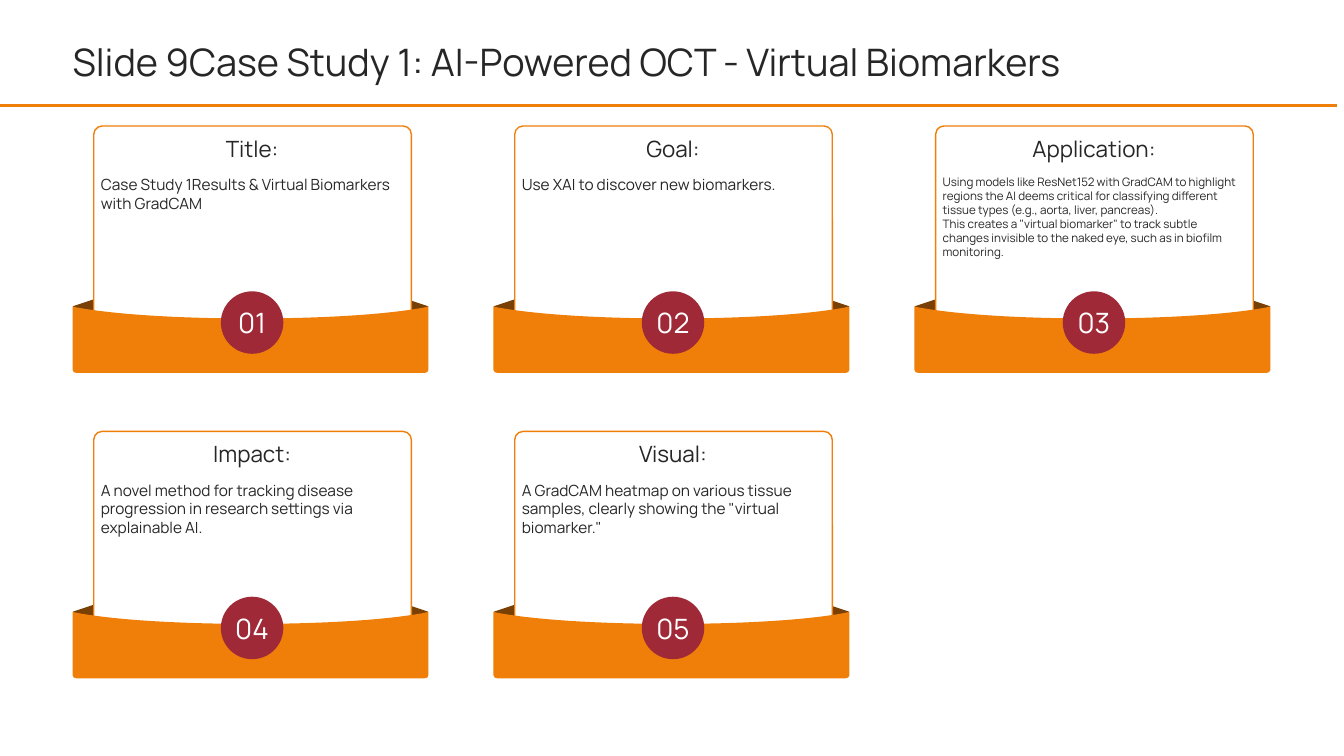
from dataclasses import dataclass

from lxml import etree
from pptx import Presentation
from pptx.dml.color import RGBColor
from pptx.enum.shapes import MSO_CONNECTOR, MSO_SHAPE
from pptx.enum.text import MSO_ANCHOR, MSO_AUTO_SIZE, PP_ALIGN
from pptx.oxml.ns import qn
from pptx.shapes.autoshape import Shape
from pptx.slide import Slide
from pptx.util import Inches, Pt

STRAIGHT = MSO_CONNECTOR.STRAIGHT
ELLIPSE = MSO_SHAPE.OVAL
ROUND_RECT = MSO_SHAPE.ROUNDED_RECTANGLE
TRIANGLE = MSO_SHAPE.RIGHT_TRIANGLE
TOP, MIDDLE = MSO_ANCHOR.TOP, MSO_ANCHOR.MIDDLE
LEFT, CENTER = PP_ALIGN.LEFT, PP_ALIGN.CENTER
NO_AUTOFIT = MSO_AUTO_SIZE.NONE

FONT = "Manrope"
ORANGE, BROWN, RED = "F07F09", "784004", "9F2936"
INK, WHITE = "262626", "FFFFFF"

COLUMNS = 3
CARD_LEFT, CARD_TOP = 0.72, 1.21
COLUMN_PITCH, ROW_PITCH = 8.35 / 2, 3.03

Point = tuple[float, float]
Box = tuple[float, float, float, float]

POCKET_SEGMENTS: list[list[Point]] = [
    [(0.04, 0.01)],
    [(0.42, 0.08), (1.05, 0.12), (1.77, 0.12)],
    [(2.49, 0.12), (3.12, 0.08), (3.49, 0.01)],
    [(3.53, 0)],
    [(3.53, 0.63)],
    [(3.53, 0.65), (3.51, 0.66), (3.49, 0.66)],
    [(0.04, 0.66)],
    [(0.02, 0.66), (0, 0.65), (0, 0.63)],
]


@dataclass(frozen=True)
class Card:
    heading: str
    body: str
    body_size: float = 11


@dataclass(frozen=True)
class TextStyle:
    size: float
    color: str = INK
    align: PP_ALIGN = CENTER
    anchor: MSO_ANCHOR = MIDDLE


CARDS = [
    Card("Title:", "Case Study 1Results & Virtual Biomarkers with GradCAM"),
    Card("Goal:", "Use XAI to discover new biomarkers."),
    Card(
        "Application:",
        "Using models like ResNet152 with GradCAM to highlight regions the AI deems "
        "critical for classifying different tissue types (e.g., aorta, liver, pancreas).\n"
        'This creates a "virtual biomarker" to track subtle changes invisible to the '
        "naked eye, such as in biofilm monitoring.",
        8.3,
    ),
    Card(
        "Impact:",
        "A novel method for tracking disease progression in research settings "
        "via explainable AI.",
    ),
    Card(
        "Visual:",
        "A GradCAM heatmap on various tissue samples, clearly showing the "
        '"virtual biomarker."',
    ),
]


def rgb(color: str) -> RGBColor:
    return RGBColor.from_string(color)


def write(shape: Shape, text: str, style: TextStyle) -> None:
    frame = shape.text_frame
    frame.text = text
    frame_format = {
        "word_wrap": True,
        "auto_size": NO_AUTOFIT,
        "vertical_anchor": style.anchor,
        "margin_left": 0,
        "margin_top": 0,
        "margin_right": 0,
        "margin_bottom": 0,
    }
    for name, value in frame_format.items():
        setattr(frame, name, value)
    font_format = {"name": FONT, "size": Pt(style.size)}
    for para in frame.paragraphs:
        para.alignment = style.align
        para.line_spacing = 1.0
        for span in para.runs:
            for name, value in font_format.items():
                setattr(span.font, name, value)
            span.font.color.rgb = rgb(style.color)


def add_text(page: Slide, box: Box, text: str, style: TextStyle) -> None:
    write(page.shapes.add_textbox(*map(Inches, box)), text, style)


def paint(shape: Shape, fill: str, line: str | None = None) -> None:
    shape.shadow.inherit = False
    shape.fill.solid()
    shape.fill.fore_color.rgb = rgb(fill)
    if line:
        shape.line.color.rgb = rgb(line)
        shape.line.width = Pt(1)
    else:
        shape.line.fill.background()


def add_preset(
    page: Slide, kind: MSO_SHAPE, box: Box, fill: str, line: str | None = None
) -> Shape:
    shape = page.shapes.add_shape(kind, *map(Inches, box))
    paint(shape, fill, line)
    return shape


def add_pocket(page: Slide, left: float, top: float) -> None:
    builder = page.shapes.build_freeform(Inches(left), Inches(top))
    points = [point for segment in POCKET_SEGMENTS for point in segment]
    builder.add_line_segments(
        [(Inches(left + x), Inches(top + y)) for x, y in points], close=True
    )
    pocket = builder.convert_to_shape()
    paint(pocket, ORANGE)
    steps = iter(list(pocket._element.iter(qn("a:lnTo"))))
    for segment in POCKET_SEGMENTS:
        lines = [next(steps) for _ in segment]
        if len(segment) == 3:
            bezier = etree.Element(qn("a:cubicBezTo"))
            lines[0].addprevious(bezier)
            for line in lines:
                bezier.append(line[0])
                line.getparent().remove(line)


def add_card(page: Slide, card: Card, index: int) -> None:
    row, column = divmod(index, COLUMNS)
    left = CARD_LEFT + column * COLUMN_PITCH
    top = CARD_TOP + row * ROW_PITCH

    def place(x: float, y: float, width: float, height: float) -> Box:
        return left + x, top + y, width, height

    right_fold = add_preset(page, TRIANGLE, place(3.08, 1.75, 0.39, 0.4), BROWN)
    right_fold.rotation = 288.4
    right_fold._element.spPr.find(qn("a:xfrm")).set("flipH", "1")
    left_fold = add_preset(page, TRIANGLE, place(0.06, 1.75, 0.39, 0.4), BROWN)
    left_fold.rotation = 71.6

    panel = add_preset(page, ROUND_RECT, place(0.21, 0.04, 3.15, 2.26), WHITE, ORANGE)
    panel.adjustments[0] = 0.037
    add_pocket(page, left, top + 1.83)

    body_style = TextStyle(card.body_size, align=LEFT, anchor=TOP)
    add_text(page, place(0.28, 0.53, 2.99, 1.17), card.body, body_style)
    badge = add_preset(page, ELLIPSE, place(1.47, 1.68, 0.62, 0.62), RED)
    write(badge, f"{index + 1:02}", TextStyle(20, WHITE))
    add_text(page, place(0.22, 0, 3.12, 0.52), card.heading, TextStyle(16))


def add_title(page: Slide, text: str) -> None:
    title = page.shapes.title
    place = {"left": 0.72, "top": 0.35, "width": 11.67, "height": 0.51}
    for name, value in place.items():
        setattr(title, name, Inches(value))
    write(title, text, TextStyle(27, align=LEFT))


def add_rule(page: Slide) -> None:
    y = Inches(1.05)
    rule = page.shapes.add_connector(STRAIGHT, 0, y, Inches(13.26), y)
    rule.line.color.rgb = rgb(ORANGE)
    rule.line.width = Pt(2.25)
    etree.SubElement(rule._element.spPr, qn("a:effectLst"))


def main() -> None:
    deck = Presentation()
    deck.slide_width, deck.slide_height = Inches(13.33), Inches(7.5)
    page = deck.slides.add_slide(deck.slide_layouts[5])
    add_title(page, "Slide 9Case Study 1: AI-Powered OCT - Virtual Biomarkers")
    add_rule(page)
    for index, card in enumerate(CARDS):
        add_card(page, card, index)
    deck.save("out.pptx")


if __name__ == "__main__":
    main()
